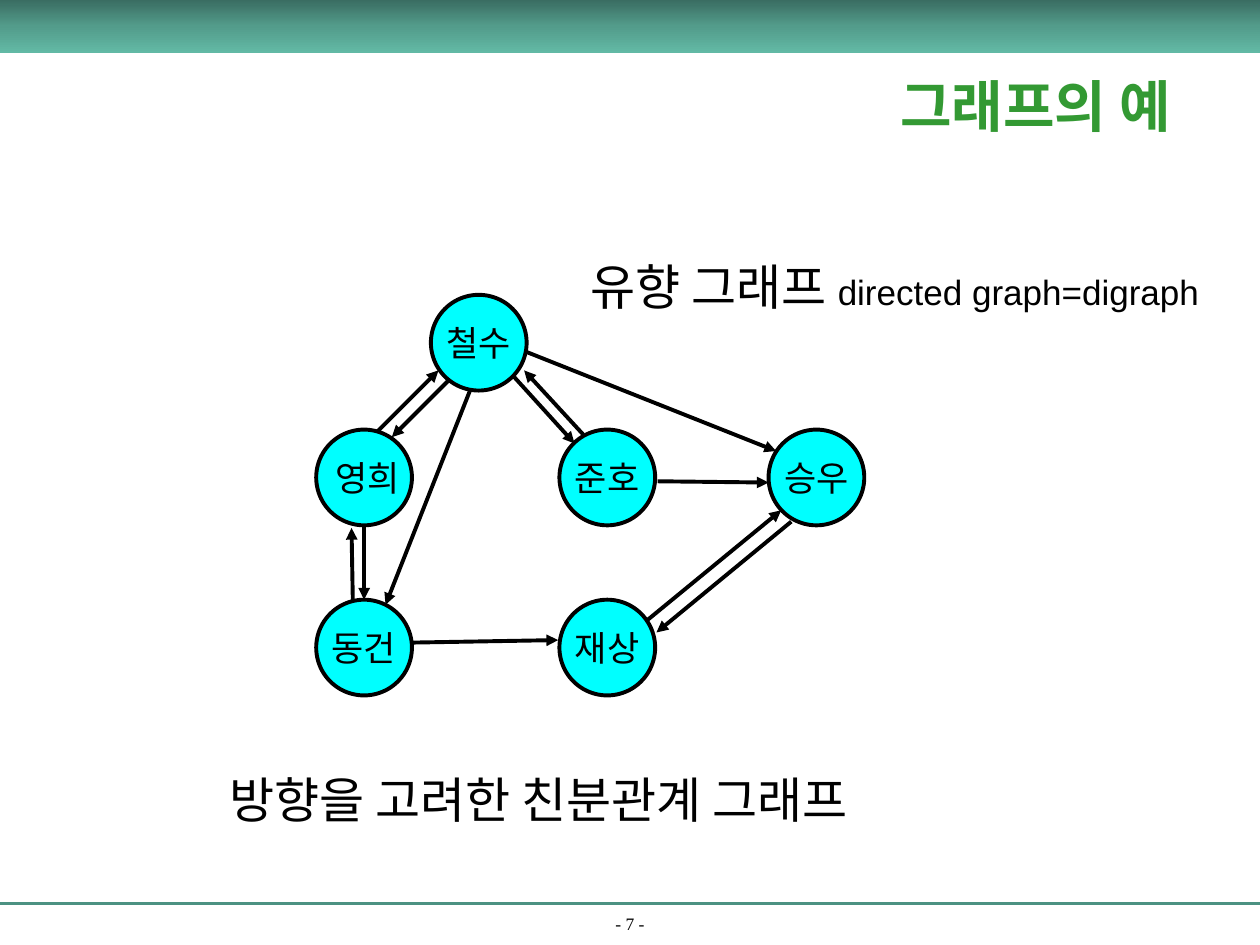
from lxml.etree import SubElement
from pptx import Presentation
from pptx.dml.color import RGBColor
from pptx.enum.shapes import MSO_CONNECTOR as Connector, MSO_SHAPE as Shape
from pptx.enum.text import MSO_ANCHOR as Anchor, MSO_AUTO_SIZE as AutoSize, PP_ALIGN as Align
from pptx.oxml.ns import qn
from pptx.util import Inches, Pt

WIDTH, HEIGHT = 10, 7.5
BLACK = RGBColor(0x00, 0x00, 0x00)
CYAN = RGBColor(0x00, 0xFF, 0xFF)
GREEN = RGBColor(0x33, 0x99, 0x33)
TEAL = RGBColor(0x4C, 0x92, 0x82)
BAND_TOP = RGBColor(0x3A, 0x6D, 0x62)
BAND_BOTTOM = RGBColor(0x62, 0xB9, 0xA5)
KOREAN = "Noto Sans CJK KR"

# Grid lines through the centres of the people
DIAMETER = 0.76
COLUMNS = [2.89, 3.80, 4.82, 6.48]
ROWS = [2.72, 3.79, 5.14]
PEOPLE = {
    "철수": (1, 0), "영희": (0, 1), "준호": (2, 1),
    "승우": (3, 1), "동건": (0, 2), "재상": (2, 2),
}
# Who knows whom, with each arrow end measured from that person's centre
FRIENDSHIPS = [
    ("영희", (0.10, -0.36), "철수", (-0.32, 0.22)),
    ("철수", (-0.24, 0.30), "영희", (0.22, -0.32)),
    ("철수", (0.37, 0.07), "승우", (-0.32, -0.21)),
    ("철수", (0.27, 0.26), "준호", (-0.26, -0.27)),
    ("준호", (-0.19, -0.34), "철수", (0.36, 0.22)),
    ("철수", (-0.07, 0.38), "동건", (0.17, -0.34)),
    ("준호", (0.40, 0.03), "승우", (-0.38, 0.04)),
    ("영희", (0, 0.38), "동건", (0, -0.38)),
    ("동건", (-0.09, -0.38), "영희", (-0.10, 0.40)),
    ("동건", (0.38, -0.04), "재상", (-0.39, -0.06)),
    ("재상", (0.32, -0.22), "승우", (-0.28, 0.26)),
    ("승우", (-0.20, 0.35), "재상", (0.39, -0.12)),
]


def style_font(font, size, name, color=BLACK, bold=False):
    font.size, font.name, font.bold = Pt(size), name, bold
    font.color.rgb = color
    SubElement(font._element, qn("a:ea"), typeface=KOREAN)


def centre_of(person):
    column, row = PEOPLE[person]
    return COLUMNS[column], ROWS[row]


def add_line(shapes, start, end, color, width, arrow=False):
    line = shapes.add_connector(Connector.STRAIGHT, *map(Inches, (*start, *end)))
    line.line.color.rgb = color
    line.line.width = Pt(width)
    if arrow:
        SubElement(line.line._get_or_add_ln(), qn("a:tailEnd"), type="triangle")
    SubElement(line._element.spPr, qn("a:effectLst"))


def add_person(shapes, person):
    x, y = centre_of(person)
    circle = shapes.add_shape(Shape.OVAL, Inches(x - DIAMETER / 2), Inches(y - DIAMETER / 2),
                              Inches(DIAMETER), Inches(DIAMETER))
    circle.shadow.inherit = False
    circle.fill.solid()
    circle.fill.fore_color.rgb = CYAN
    circle.line.color.rgb = BLACK
    circle.line.width = Pt(2.25)
    frame = circle.text_frame
    frame.word_wrap = False
    frame.vertical_anchor = Anchor.MIDDLE
    label = frame.paragraphs[0]
    # The second person's name sits slightly right of centre
    label.text = " 영희" if person == "영희" else person
    label.alignment = Align.CENTER
    style_font(label.font, 20, KOREAN)


def add_friendship(shapes, source, source_offset, target, target_offset):
    start, end = ([c + d for c, d in zip(centre_of(person), offset)]
                  for person, offset in ((source, source_offset), (target, target_offset)))
    add_line(shapes, start, end, BLACK, 2.25, arrow=True)


def add_text(slide, box, text, size, name, color=BLACK, bold=False,
             align=Align.LEFT, anchor=Anchor.TOP, wrap=True):
    frame = slide.shapes.add_textbox(*map(Inches, box)).text_frame
    frame.word_wrap = wrap
    frame.auto_size = AutoSize.NONE if wrap else AutoSize.SHAPE_TO_FIT_TEXT
    frame.vertical_anchor = anchor
    paragraph = frame.paragraphs[0]
    paragraph.text = text
    paragraph.alignment = align
    style_font(paragraph.font, size, name, color, bold)
    return paragraph


def add_band(slide):
    band = slide.shapes.add_shape(Shape.RECTANGLE, 0, 0, Inches(WIDTH), Inches(0.42))
    band.shadow.inherit = False
    band.line.fill.background()
    band.fill.gradient()
    band.fill.gradient_angle = 270
    for stop, color in zip(band.fill.gradient_stops, (BAND_TOP, BAND_BOTTOM)):
        stop.color.rgb = color
    # Middle stop of the gradient
    stops = band._element.spPr.find(qn("a:gradFill")).find(qn("a:gsLst"))
    middle = SubElement(stops, qn("a:gs"), pos="50000")
    SubElement(middle, qn("a:srgbClr"), val="539C8B")
    stops.insert(1, middle)


def main():
    deck = Presentation()
    deck.slide_width, deck.slide_height = Inches(WIDTH), Inches(HEIGHT)
    slide = deck.slides.add_slide(deck.slide_layouts[6])

    # Page frame
    add_line(slide.shapes, (0, 7.17), (WIDTH, 7.17), TEAL, 1.5)
    add_text(slide, (0, 7.24, WIDTH, 0.22), "- 7 -", 10, "Times New Roman",
             align=Align.CENTER, anchor=Anchor.BOTTOM)
    add_band(slide)

    # Directed graph
    graph = slide.shapes.add_group_shape().shapes
    for person in PEOPLE:
        add_person(graph, person)
    for friendship in FRIENDSHIPS:
        add_friendship(graph, *friendship)

    # Caption, title and term
    add_text(slide, (1.72, 6.06, 5.58, 0.57), "방향을 고려한 친분관계 그래프",
             28, "Arial", wrap=False)
    add_text(slide, (6.44, 0.42, 3.56, 0.83), "그래프의 예", 32, "Times New Roman",
             GREEN, True, Align.CENTER, Anchor.MIDDLE)
    term = add_text(slide, (4.59, 1.99, 5.12, 0.57), "유향 그래프 ", 28, "Arial", wrap=False)
    english = term.add_run()
    english.text = "directed graph=digraph"
    english.font.size = Pt(20)

    deck.save("out.pptx")


if __name__ == "__main__":
    main()
